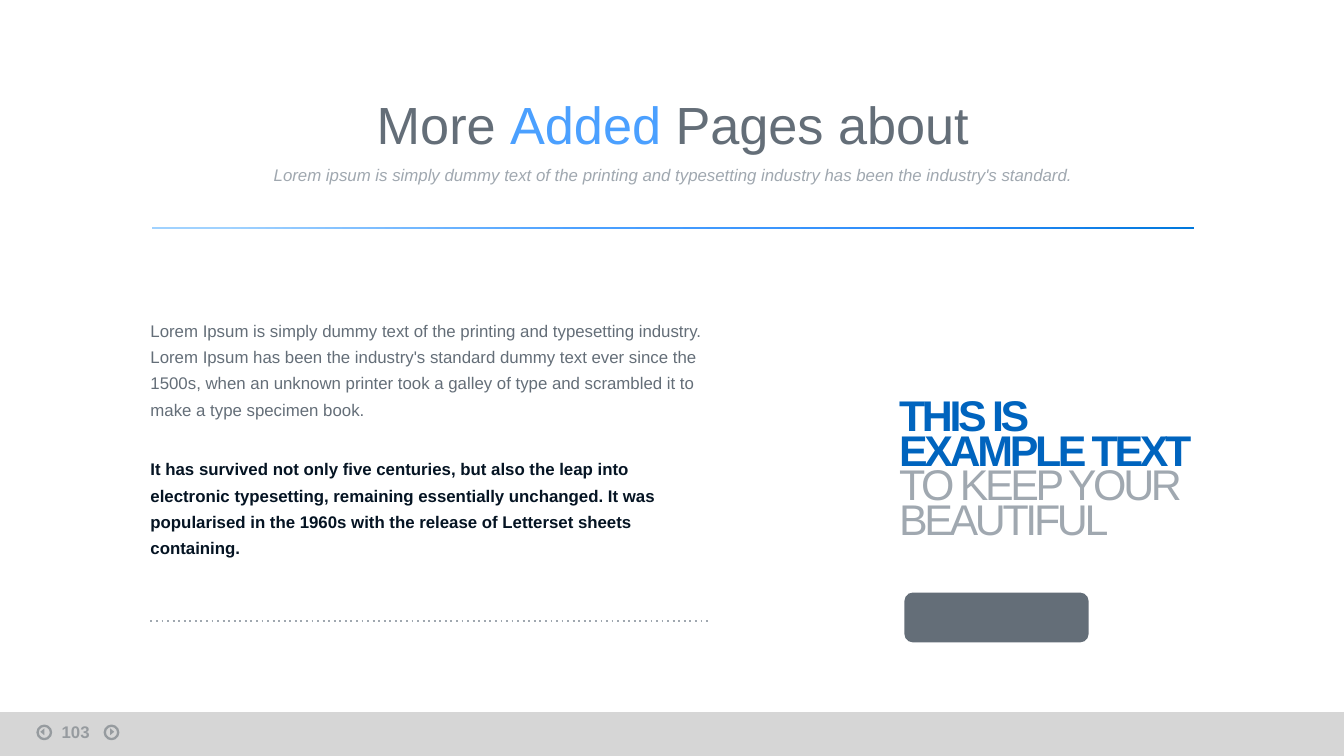
from dataclasses import dataclass

import pptx
import pptx.dml.color
import pptx.enum.shapes
import pptx.enum.text
import pptx.oxml
import pptx.oxml.ns
import pptx.util
from lxml import etree

Inches = pptx.util.Inches
Pt = pptx.util.Pt
RGBColor = pptx.dml.color.RGBColor
Shape = pptx.enum.shapes.MSO_SHAPE
Align = pptx.enum.text.PP_ALIGN
Anchor = pptx.enum.text.MSO_ANCHOR
qn = pptx.oxml.ns.qn

SLATE = RGBColor(0x64, 0x6E, 0x78)
SILVER = RGBColor(0xA0, 0xA8, 0xB0)
NAVY = RGBColor(0x05, 0x14, 0x23)
SKY = RGBColor(0x4B, 0xA0, 0xFF)
BLUE = RGBColor(0x00, 0x64, 0xBE)
FOOTER_GRAY = RGBColor(0xD2, 0xD2, 0xD2)
RULE_STOPS = (
    (7, RGBColor(0xA0, 0xD2, 0xFF)),
    (42, SKY),
    (76, RGBColor(0x2D, 0x8C, 0xFA)),
    (100, RGBColor(0x00, 0x78, 0xDC)),
)


@dataclass
class Span:
    text: str
    color: RGBColor
    bold: bool = False
    italic: bool = False


@dataclass
class Block:
    box: tuple[float, float, float, float]
    paragraphs: list[list[Span]]
    size: float
    line_spacing: float = 1.0
    gap: float = 0
    align: Align = Align.LEFT
    anchor: Anchor = Anchor.TOP
    inset: bool = False
    tracking: int = 0
    opacity: int = 100


@dataclass
class PageButton:
    ring_left: float
    arrow_left: float
    rotation: int


BLOCKS = [
    Block((1.75, 0.72, 6.51, 0.52),
          [[Span("More ", SLATE), Span("Added ", SKY), Span("Pages about", SLATE)]],
          28, line_spacing=0.7, align=Align.CENTER, anchor=Anchor.MIDDLE),
    Block((0.36, 5.32, 0.42, 0.21), [[Span("103", NAVY, bold=True)]],
          9, inset=True, opacity=30),
    Block((1.75, 1.13, 6.51, 0.34),
          [[Span("Lorem ipsum is simply dummy text of the printing and typesetting "
                 "industry has been the industry's standard.", SILVER, italic=True)]],
          9, align=Align.CENTER, anchor=Anchor.MIDDLE),
    Block((1.12, 2.34, 4.16, 1.73),
          [[Span("Lorem Ipsum is simply dummy text of the printing and typesetting "
                 "industry. Lorem Ipsum has been the industry's standard dummy text "
                 "ever since the 1500s, when an unknown printer took a galley of type "
                 "and scrambled it to make a type specimen book.", SLATE)],
           [Span("It has survived not only five centuries, but also the leap into "
                 "electronic typesetting, remaining essentially unchanged. It was "
                 "popularised in the 1960s with the release of Letterset sheets "
                 "containing.", NAVY, bold=True)]],
          9, line_spacing=1.3, gap=18),
    Block((6.69, 3.03, 2.32, 1.05),
          [[Span("THIS IS", BLUE, bold=True)], [Span("EXAMPLE TEXT", BLUE, bold=True)],
           [Span("TO KEEP YOUR", SILVER)], [Span("BEAUTIFUL", SILVER)]],
          23, line_spacing=0.6, gap=1.9, tracking=-180),
]
PAGE_BUTTONS = [PageButton(0.78, 0.81, 90), PageButton(0.28, 0.29, 270)]


def set_opacity(element: etree._Element, percent: int) -> None:
    for color in element.iter(qn("a:srgbClr")):
        etree.SubElement(color, qn("a:alpha")).set("val", str(percent * 1000))


def add_plain(slide, kind: Shape, box: tuple, fill: RGBColor | None = None):
    shape = slide.shapes.add_shape(kind, *map(Inches, box))
    shape.shadow.inherit = False
    shape.line.fill.background()
    if fill is None:
        shape.fill.background()
    else:
        shape.fill.solid()
        shape.fill.fore_color.rgb = fill
    return shape


def add_block(slide, block: Block) -> None:
    frame = slide.shapes.add_textbox(*map(Inches, block.box)).text_frame
    frame.word_wrap = not block.inset
    frame.vertical_anchor = block.anchor
    if not block.inset:
        frame.margin_left = frame.margin_right = 0
        frame.margin_top = frame.margin_bottom = 0
    for index, spans in enumerate(block.paragraphs):
        paragraph = frame.add_paragraph() if index else frame.paragraphs[0]
        paragraph.alignment = block.align
        paragraph.line_spacing = block.line_spacing
        if index:
            paragraph.space_before = Pt(block.gap)
        for span in spans:
            run = paragraph.add_run()
            run.text = span.text
            run.font.name = "Arial"
            run.font.size = Pt(block.size)
            run.font.bold = span.bold
            run.font.italic = span.italic
            run.font.color.rgb = span.color
            if block.tracking:
                run._r.get_or_add_rPr().set("spc", str(block.tracking))
            if block.opacity < 100:
                set_opacity(run._r, block.opacity)


def add_page_button(slide, button: PageButton) -> None:
    ring = add_plain(slide, Shape.OVAL, (button.ring_left, 5.4, 0.1, 0.1))
    ring.line.color.rgb = NAVY
    ring.line.width = Pt(1.25)
    arrow = add_plain(slide, Shape.ISOSCELES_TRIANGLE,
                      (button.arrow_left, 5.43, 0.05, 0.03), NAVY)
    arrow.rotation = button.rotation
    for part in (ring, arrow):
        set_opacity(part._element.spPr, 30)


def add_gradient_rule(slide) -> None:
    rule = add_plain(slide, Shape.RECTANGLE, (1.13, 1.69, 7.75, 0.01))
    rule.height = Pt(1)
    rule.fill.gradient()
    rule.fill.gradient_angle = 40
    stops = rule._element.spPr.find(qn("a:gradFill")).find(qn("a:gsLst"))
    for default_stop in list(stops):
        stops.remove(default_stop)
    for position, color in RULE_STOPS:
        stop = etree.SubElement(stops, qn("a:gs"), pos=str(position * 1000))
        etree.SubElement(stop, qn("a:srgbClr"), val=str(color))


def add_dotted_divider(slide) -> None:
    divider = slide.shapes.add_connector(
        pptx.enum.shapes.MSO_CONNECTOR.STRAIGHT,
        Inches(1.12), Inches(4.62), Inches(5.28), Inches(4.62))
    divider.line.color.rgb = SILVER
    divider.line.width = Pt(1)
    dashes = etree.SubElement(divider.line._get_or_add_ln(), qn("a:custDash"))
    etree.SubElement(dashes, qn("a:ds"), d="100000", sp="200000")
    etree.SubElement(divider._element.spPr, qn("a:effectLst"))


def main() -> None:
    deck = pptx.Presentation()
    deck.slide_width = Inches(10)
    deck.slide_height = deck.slide_width * 9 // 16
    slide = deck.slides.add_slide(deck.slide_layouts[6])
    footer = add_plain(slide, Shape.RECTANGLE, (0, 5.3, 10, 0.33), FOOTER_GRAY)
    footer.height = deck.slide_height - footer.top
    set_opacity(footer._element.spPr, 90)
    for button in PAGE_BUTTONS:
        add_page_button(slide, button)
    for block in BLOCKS:
        add_block(slide, block)
    add_dotted_divider(slide)
    add_plain(slide, Shape.ROUNDED_RECTANGLE, (6.73, 4.41, 1.37, 0.37), SLATE)
    add_gradient_rule(slide)
    deck.save("out.pptx")


if __name__ == "__main__":
    main()
